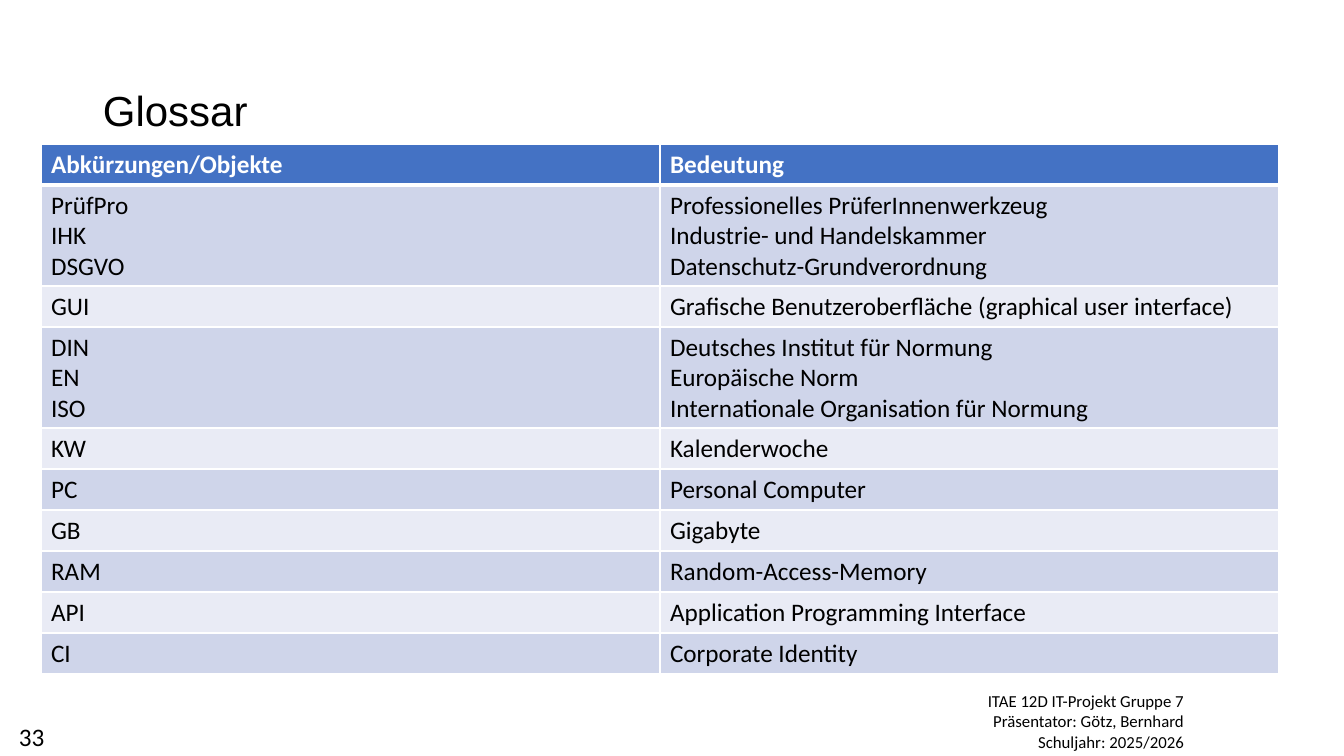
from lxml.etree import SubElement
from pptx import Presentation
from pptx.dml.color import RGBColor
from pptx.enum.text import MSO_ANCHOR, PP_ALIGN
from pptx.oxml.ns import qn
from pptx.util import Emu, Pt

SLIDE_WIDTH, SLIDE_HEIGHT = 1344, 756
EMU_PER_PX = 12192000 / SLIDE_WIDTH

BLACK = RGBColor(0x00, 0x00, 0x00)
WHITE = RGBColor(0xFF, 0xFF, 0xFF)
HEADER_BLUE = RGBColor(0x44, 0x72, 0xC4)
BAND_DARK = RGBColor(0xCF, 0xD5, 0xEA)
BAND_LIGHT = RGBColor(0xE9, 0xEB, 0xF5)

HEADER = ("Abkürzungen/Objekte", "Bedeutung")
# Each group is one table row holding one or more terms
GLOSSARY = [
    [("PrüfPro", "Professionelles PrüferInnenwerkzeug"),
     ("IHK", "Industrie- und Handelskammer"),
     ("DSGVO", "Datenschutz-Grundverordnung")],
    [("GUI", "Grafische Benutzeroberfläche (graphical user interface)")],
    [("DIN", "Deutsches Institut für Normung"),
     ("EN", "Europäische Norm"),
     ("ISO", "Internationale Organisation für Normung")],
    [("KW", "Kalenderwoche")],
    [("PC", "Personal Computer")],
    [("GB", "Gigabyte")],
    [("RAM", "Random-Access-Memory")],
    [("API", "Application Programming Interface")],
    [("CI", "Corporate Identity")],
]
LINE_HEIGHT, ROW_PADDING = 30, 11


def px(length):
    return Emu(round(length * EMU_PER_PX))


def add_run(paragraph, text, size, font="Calibri", color=BLACK, bold=False):
    run = paragraph.add_run()
    run.text = text
    run.font.size = Pt(size)
    run.font.name = font
    run.font.color.rgb = color
    run.font.bold = bold


def next_paragraph(text_frame, index):
    return text_frame.add_paragraph() if index else text_frame.paragraphs[0]


def add_text_frame(slide, box):
    text_frame = slide.shapes.add_textbox(*map(px, box)).text_frame
    text_frame.word_wrap = True
    return text_frame


def add_title(slide, box):
    text_frame = add_text_frame(slide, box)
    text_frame.vertical_anchor = MSO_ANCHOR.MIDDLE
    paragraph = text_frame.paragraphs[0]
    paragraph.line_spacing = 0.9
    add_run(paragraph, "Glossar", 30, font="Arial")


def set_borders(cell, bottom_width):
    properties = cell._tc.get_or_add_tcPr()
    widths = {"a:lnL": 1, "a:lnR": 1, "a:lnT": 1, "a:lnB": bottom_width}
    for tag, width in widths.items():
        line = SubElement(properties, qn(tag), w=str(Pt(width)))
        fill = SubElement(line, qn("a:solidFill"))
        SubElement(fill, qn("a:srgbClr"), val=str(WHITE))


def fill_cell(cell, lines, fill, color=BLACK, bold=False, bottom_width=1):
    set_borders(cell, bottom_width)
    cell.fill.solid()
    cell.fill.fore_color.rgb = fill
    for index, line in enumerate(lines):
        paragraph = next_paragraph(cell.text_frame, index)
        add_run(paragraph, line, 18, color=color, bold=bold)


def add_glossary(slide, box):
    groups = [[HEADER]] + GLOSSARY
    shape = slide.shapes.add_table(len(groups), len(HEADER), *map(px, box))
    table = shape.table
    for column in table.columns:
        column.width = px(box[2] // len(HEADER))
    for row_index, group in enumerate(groups):
        table.rows[row_index].height = px(len(group) * LINE_HEIGHT + ROW_PADDING)
        band = BAND_DARK if row_index % 2 else BAND_LIGHT
        for column_index, lines in enumerate(zip(*group)):
            cell = table.cell(row_index, column_index)
            if row_index == 0:
                fill_cell(cell, lines, HEADER_BLUE, WHITE, True, 3)
            else:
                # The header's thick rule is shared with the first body row
                fill_cell(cell, lines, band)
                if row_index == 1:
                    top = cell._tc.tcPr.find(qn("a:lnT"))
                    top.set("w", str(Pt(3)))


def add_footer(slide, box):
    text_frame = add_text_frame(slide, box)
    paragraphs = [["ITAE 12D IT-Projekt Gruppe 7"],
                  ["Präsentator: Götz, Bernhard", "Schuljahr: 2025/2026"]]
    for index, lines in enumerate(paragraphs):
        paragraph = next_paragraph(text_frame, index)
        paragraph.alignment = PP_ALIGN.RIGHT
        for line_index, line in enumerate(lines):
            if line_index:
                paragraph.add_line_break()
            add_run(paragraph, line, 12)


def add_page_number(slide, box):
    text_frame = add_text_frame(slide, box)
    add_run(text_frame.paragraphs[0], "33", 18)


def main():
    presentation = Presentation()
    presentation.slide_width = px(SLIDE_WIDTH)
    presentation.slide_height = px(SLIDE_HEIGHT)
    slide = presentation.slides.add_slide(presentation.slide_layouts[6])
    add_footer(slide, (890, 686, 304, 71))
    add_page_number(slide, (9, 716, 83, 40))
    add_title(slide, (93, 40, 1159, 146))
    add_glossary(slide, (41, 144, 1238, 526))
    presentation.save("out.pptx")


if __name__ == "__main__":
    main()
